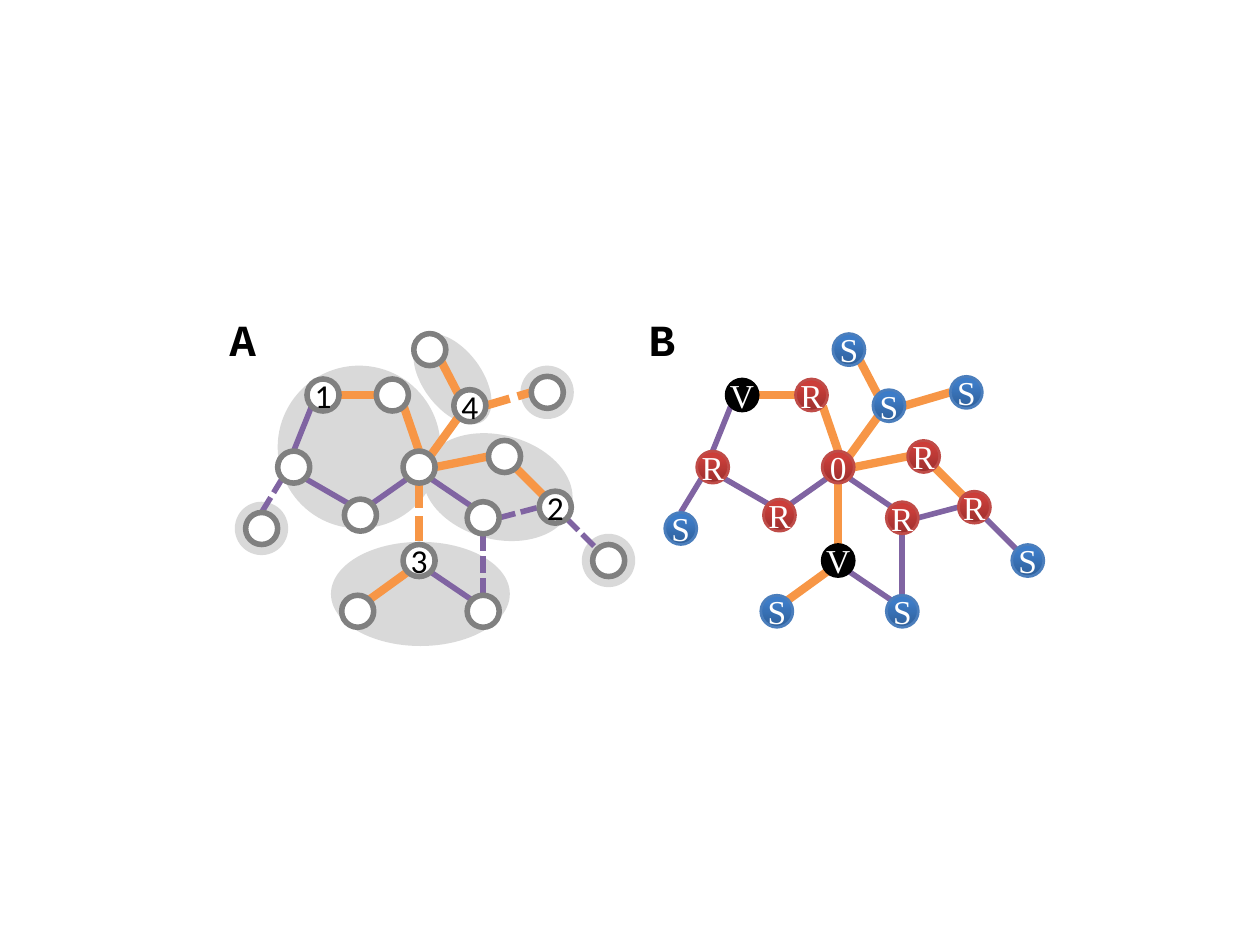
from copy import deepcopy
from dataclasses import dataclass
from math import cos, radians, sin

from pptx import Presentation
from pptx import util as u
from pptx.dml.color import RGBColor
from pptx.enum import dml, shapes, text
from pptx.oxml import ns
from lxml import etree


@dataclass(frozen=True)
class Theme:
    """Colours, fonts and sizes of the slide."""
    halo: str = "D9D9D9"
    ring: str = "808080"
    white: str = "FFFFFF"
    black: str = "000000"
    orange: tuple = ("F79646", 2.25)
    purple: tuple = ("8064A2", 1.5)
    red: tuple = ("9C2F2D", "CB3E3A", "CE3B37")
    blue: tuple = ("2F5F99", "3D7CC7", "3A7CCB")
    red_line: str = "BF4C48"
    blue_line: str = "4B7EBC"
    stops: tuple = (0, 0.8, 1)
    number_font: str = "Calibri"
    letter_font: str = "Times New Roman"
    title_font: str = "Courier New"
    node_size: float = 9
    title_size: float = 12


THEME = Theme()
NODE, HALO = 0.12, 0.2
PANELS = {"A": (0.81, 1.12), "B": (2.38, 1.12)}

# Node: centre within the panel, label in panel A, label in panel B
NODES = {
    "hub": (0.76, 0.63, "", "0"),
    "ring start": (0.40, 0.36, "1", "V"),
    "ring top": (0.66, 0.36, "", "R"),
    "ring left": (0.29, 0.63, "", "R"),
    "ring bottom": (0.54, 0.81, "", "R"),
    "west leaf": (0.17, 0.86, "", "S"),
    "loop top": (1.08, 0.59, "", "R"),
    "loop right": (1.27, 0.78, "2", "R"),
    "loop bottom": (1.00, 0.82, "", "R"),
    "east leaf": (1.47, 0.98, "", "S"),
    "root": (0.76, 0.98, "3", "V"),
    "root left": (0.53, 1.17, "", "S"),
    "root right": (1.00, 1.17, "", "S"),
    "fork": (0.95, 0.40, "4", "S"),
    "fork left": (0.80, 0.19, "", "S"),
    "fork right": (1.24, 0.35, "", "S"),
}
COMPASS = {name: 45 * step for step, name in
           enumerate(("E", "SE", "S", "SW", "W", "NW", "N", "NE"))}

# Edge: start node and side, end node and side, whether it joins two clusters
ORANGE_EDGES = [
    ("fork", "NW", "fork left", "SE", False),
    ("ring start", "E", "ring top", "W", False),
    ("hub", "E", "loop top", "W", False),
    ("loop top", "SE", "loop right", "NW", False),
    ("hub", "S", "root", "N", True),
    ("root", "SW", "root left", "NE", False),
    ("hub", "NE", "fork", "SW", False),
    ("fork", "E", "fork right", "W", True),
    ("ring top", "SE", "hub", "N", False),
]
PURPLE_EDGES = [
    ("loop bottom", "E", "loop right", "W", True),
    ("hub", "SE", "loop bottom", "NW", False),
    ("loop bottom", "S", "root right", "N", True),
    ("root", "SE", "root right", "NW", False),
    ("ring start", "SW", "ring left", "N", False),
    ("ring left", "SE", "ring bottom", "NW", False),
    ("ring left", "SW", "west leaf", "N", True),
    ("loop right", "SE", "east leaf", "NW", True),
    ("ring bottom", "NE", "hub", "SW", False),
]
# Cluster: left, top, width, height, rotation
CLUSTERS = [
    (0.69, 0.19, 0.39, 0.22, 53.3),
    (0.43, 0.91, 0.67, 0.39, 0),
    (0.77, 0.51, 0.57, 0.39, 14.6),
    (0.23, 0.25, 0.61, 0.61, 0),
]


def apply(target, values):
    """Set each attribute named in values on target."""
    for name, value in values.items():
        setattr(target, name, value)


def write(box, words, font, size, colour, bold=False):
    """Write one centred span in a box."""
    apply(box.text_frame, {
        "margin_left": 0, "margin_right": 0, "margin_top": 0, "margin_bottom": 0,
        "word_wrap": False, "vertical_anchor": text.MSO_ANCHOR.MIDDLE})
    para = box.text_frame.paragraphs[0]
    para.alignment = text.PP_ALIGN.CENTER
    span = para.add_run()
    span.text = words
    apply(span.font, {"name": font, "size": u.Pt(size), "bold": bold})
    span.font.color.rgb = RGBColor.from_string(colour)


def paint(box, fill):
    """Fill a box with one colour, or with a gradient rising from its foot."""
    if isinstance(fill, str):
        box.fill.solid()
        box.fill.fore_color.rgb = RGBColor.from_string(fill)
        return
    box.fill.gradient()
    box.fill.gradient_angle = 90
    stop_list = box._element.spPr.find(".//" + ns.qn("a:gsLst"))
    stop_list.append(deepcopy(stop_list[-1]))
    for stop, place, colour in zip(box.fill.gradient_stops, THEME.stops, fill):
        stop.position = place
        stop.color.rgb = RGBColor.from_string(colour)


def add_ellipse(group, left, top, width, height, fill, line=None, weight=0):
    """Add a shadowless ellipse, with an outline if line is given."""
    box = group.shapes.add_shape(
        shapes.MSO_SHAPE.OVAL, *map(u.Inches, (left, top, width, height)))
    box.shadow.inherit = False
    paint(box, fill)
    if line:
        box.line.color.rgb = RGBColor.from_string(line)
        box.line.width = u.Pt(weight)
    else:
        box.line.fill.background()
    return box


def add_halos(group, left, top):
    """Shade the clusters and the single leaves of a panel."""
    for name in ("fork right", "east leaf", "west leaf"):
        x, y = NODES[name][:2]
        add_ellipse(group, left + x - HALO / 2, top + y - HALO / 2,
                    HALO, HALO, THEME.halo)
    for x, y, width, height, turn in CLUSTERS:
        halo = add_ellipse(group, left + x, top + y, width, height, THEME.halo)
        halo.rotation = turn


def rim(left, top, name, side):
    """Return the point on the given side of a node."""
    x, y = NODES[name][:2]
    angle = radians(COMPASS[side])
    return (u.Inches(left + x + NODE / 2 * cos(angle)),
            u.Inches(top + y + NODE / 2 * sin(angle)))


def add_edges(group, left, top, edges, style, dashes):
    """Join nodes in one line style, dashed between clusters if asked."""
    colour, weight = style
    for start, start_side, end, end_side, between in edges:
        edge = group.shapes.add_connector(
            shapes.MSO_CONNECTOR.STRAIGHT,
            *rim(left, top, start, start_side), *rim(left, top, end, end_side))
        edge.line.color.rgb = RGBColor.from_string(colour)
        edge.line.width = u.Pt(weight)
        if dashes and between:
            edge.line.dash_style = dml.MSO_LINE.SQUARE_DOT
        etree.SubElement(edge._element.spPr, ns.qn("a:effectLst"))


def add_nodes(group, left, top, lettered):
    """Place the nodes, numbered rings or lettered discs."""
    discs = {"S": (THEME.blue, THEME.blue_line), "V": (THEME.black, THEME.black)}
    for x, y, number, letter in NODES.values():
        fill, line, weight = THEME.white, THEME.ring, 1.5
        words, font, colour = number, THEME.number_font, THEME.black
        if lettered:
            fill, line = discs.get(letter, (THEME.red, THEME.red_line))
            words, font, colour, weight = letter, THEME.letter_font, THEME.white, 0.75
        node = add_ellipse(group, left + x - NODE / 2, top + y - NODE / 2,
                           NODE, NODE, fill, line, weight)
        if words:
            write(node, words, font, THEME.node_size, colour)


def add_panel(page, title, left, top, lettered):
    """Build one network panel at the given corner."""
    group = page.shapes.add_group_shape()
    if not lettered:
        add_halos(group, left, top)
    for edges, style in ((ORANGE_EDGES, THEME.orange), (PURPLE_EDGES, THEME.purple)):
        add_edges(group, left, top, edges, style, dashes=not lettered)
    add_nodes(group, left, top, lettered)
    box = group.shapes.add_textbox(*map(u.Inches, (left, top, 0.2, 0.3)))
    write(box, title, THEME.title_font, THEME.title_size, THEME.black, bold=True)


deck = Presentation()
apply(deck, {"slide_width": u.Inches(4.72), "slide_height": u.Inches(3.54)})
page = deck.slides.add_slide(deck.slide_layouts[6])
for title, corner in PANELS.items():
    add_panel(page, title, *corner, lettered=title == "B")
deck.save("out.pptx")
